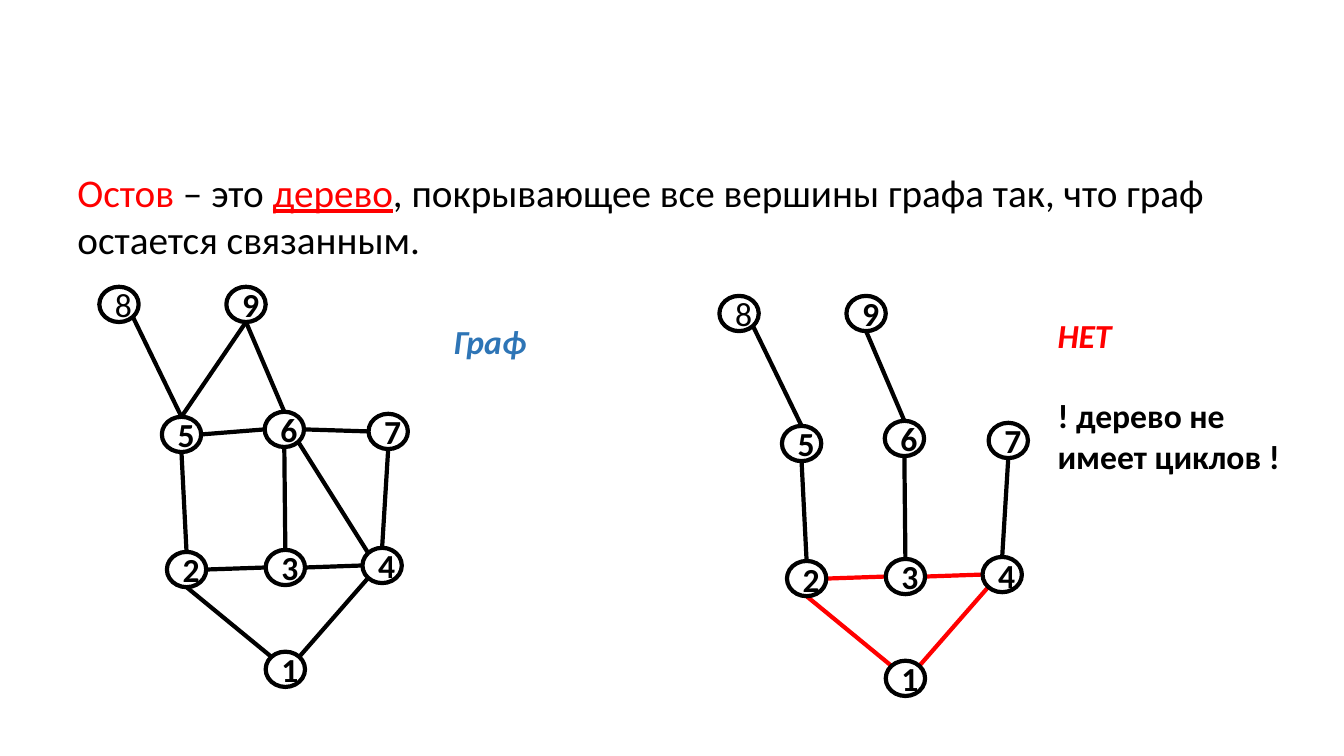
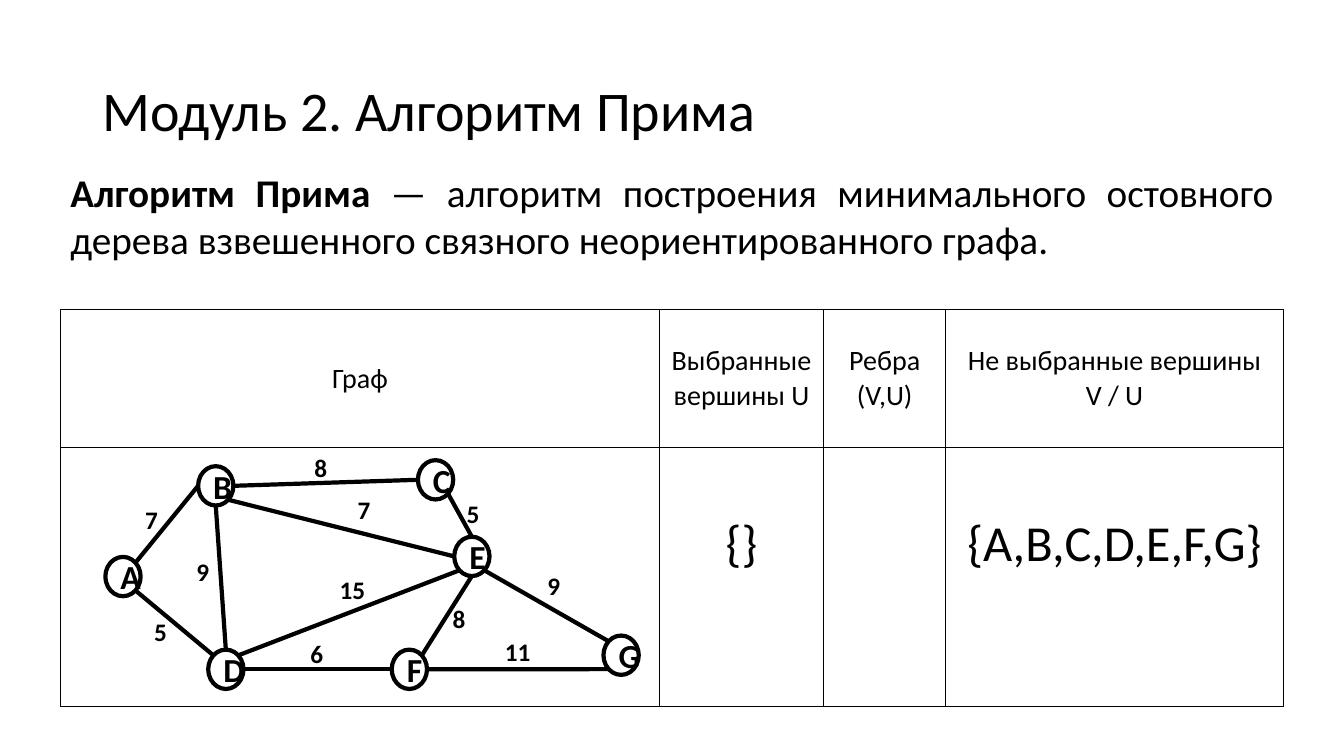
from lxml import etree
from pptx import Presentation
from pptx.dml.color import RGBColor
from pptx.enum import shapes, text
from pptx.oxml import ns
from pptx.util import Inches, Pt

FONT = "Calibri"
COLORS = {"ink": "000000", "paper": "FFFFFF", "accent": "FF0000", "label": "2E75B6"}
SLIDE_W, SLIDE_H = 13.33, 7.5
LINE_WIDTH = 3
TITLE_ONLY, BLANK = 5, 6

# Points on a vertex outline, as shares of its half width and half height
DIAGONAL = 0.71
SITES = {
    "n": (0, -1), "s": (0, 1), "w": (-1, 0), "e": (1, 0),
    "nw": (-DIAGONAL, -DIAGONAL), "ne": (DIAGONAL, -DIAGONAL),
    "sw": (-DIAGONAL, DIAGONAL), "se": (DIAGONAL, DIAGONAL),
}

# Vertex centres are measured from the top left corner of the graph's region
NUMBER_VERTICES = {
    "8": (0.2, 0.18), "9": (1.46, 0.18),
    "5": (0.82, 1.47), "6": (1.84, 1.42), "7": (2.87, 1.44),
    "2": (0.87, 2.81), "3": (1.85, 2.79), "4": (2.81, 2.77),
    "1": (1.85, 3.8),
}
NUMBER_EDGES = {
    "85": ("se", "n"), "95": ("s", "n"), "96": ("s", "n"),
    "76": ("w", "e"), "65": ("w", "e"),
    "52": ("s", "n"), "63": ("s", "n"), "74": ("s", "n"), "64": ("se", "nw"),
    "32": ("w", "e"), "43": ("w", "e"),
    "41": ("sw", "ne"), "21": ("s", "nw"),
}
REMOVED_EDGES = {"95", "76", "65", "64"}
CYCLE_EDGES = {"32", "43", "41", "21"}

LETTER_VERTICES = {
    "A": (0.62, 1.28), "B": (1.54, 0.38), "C": (3.72, 0.32), "D": (1.64, 2.2),
    "E": (4.08, 1.08), "F": (3.46, 2.2), "G": (5.56, 2.06),
}
LETTER_EDGES = {
    "AB": ("ne", "w"), "AD": ("se", "nw"), "BC": ("e", "w"), "BD": ("s", "n"),
    "BE": ("se", "w"), "CE": ("se", "n"), "DE": ("ne", "sw"), "DF": ("e", "w"),
    "EF": ("s", "ne"), "EG": ("se", "nw"), "FG": ("e", "sw"),
}
EDGE_WEIGHTS = {
    "AB": ("7", 0.74, 0.51), "AD": ("5", 0.83, 1.63), "BC": ("8", 2.42, 0),
    "BD": ("9", 1.25, 1.03), "BE": ("7", 2.85, 0.42), "CE": ("5", 3.93, 0.45),
    "DE": ("15", 2.67, 1.21), "DF": ("6", 2.38, 1.84), "EF": ("8", 3.79, 1.5),
    "EG": ("9", 4.73, 1.17), "FG": ("11", 4.31, 1.82),
}


def rgb(name):
    return RGBColor.from_string(COLORS[name])


def add_run(paragraph, words, size, color="ink", bold=False, italic=False, underline=False):
    run = paragraph.add_run()
    run.text = words
    font = run.font
    font.name, font.size, font.color.rgb = FONT, Pt(size), rgb(color)
    font.bold, font.italic, font.underline = bold, italic, underline


def add_text(slide, box, *paragraphs):
    """Each paragraph is a list of (words, size, font options) runs."""
    frame = slide.shapes.add_textbox(*map(Inches, box)).text_frame
    frame.word_wrap = True
    for index, runs in enumerate(paragraphs):
        paragraph = frame.add_paragraph() if index else frame.paragraphs[0]
        for words, size, options in runs:
            add_run(paragraph, words, size, **options)
    return frame


def add_vertex(slide, name, center, size, bold):
    (x, y), (width, height) = center, size
    vertex = slide.shapes.add_shape(
        shapes.MSO_SHAPE.OVAL, Inches(x - width / 2), Inches(y - height / 2),
        Inches(width), Inches(height))
    vertex.shadow.inherit = False
    vertex.fill.background()
    vertex.line.color.rgb = rgb("ink")
    vertex.line.width = Pt(LINE_WIDTH)
    paragraph = vertex.text_frame.paragraphs[0]
    paragraph.alignment = text.PP_ALIGN.CENTER
    add_run(paragraph, name, 24, bold=bold)


def add_edge(slide, start, end, color):
    edge = slide.shapes.add_connector(
        shapes.MSO_CONNECTOR.STRAIGHT, *map(Inches, (*start, *end)))
    edge.line.color.rgb = rgb(color)
    edge.line.width = Pt(LINE_WIDTH)
    etree.SubElement(edge._element.spPr, ns.qn("a:effectLst"))


def add_graph(slide, origin, vertices, edges, size, highlighted=(), plain=()):
    """Draw a graph whose vertices are placed relative to origin."""
    centers = {name: (origin[0] + x, origin[1] + y) for name, (x, y) in vertices.items()}

    def outline_point(name, site):
        return tuple(c + share * length / 2
                     for c, share, length in zip(centers[name], SITES[site], size))

    for pair, sites in edges.items():
        start, end = map(outline_point, pair, sites)
        add_edge(slide, start, end, "accent" if pair in highlighted else "ink")
    for name, center in centers.items():
        add_vertex(slide, name, center, size, bold=name not in plain)


def add_weights(slide, origin):
    for weight, x, y in EDGE_WEIGHTS.values():
        add_text(slide, (origin[0] + x, origin[1] + y, 0.53, 0.4),
                 [(weight, 18, {"bold": True})])


def add_title(slide, words):
    title = slide.shapes.title
    title.left, title.top, title.width, title.height = map(Inches, (0.92, 0.4, 11.5, 1.45))
    frame = title.text_frame
    frame.vertical_anchor = text.MSO_ANCHOR.MIDDLE
    paragraph = frame.paragraphs[0]
    paragraph.alignment = text.PP_ALIGN.LEFT
    paragraph.line_spacing = 0.9
    add_run(paragraph, words, 40)


def add_border(cell):
    """Outline the cell; the border goes ahead of the fill in its properties."""
    properties = cell._tc.get_or_add_tcPr()
    for index, side in enumerate(("lnL", "lnR", "lnT", "lnB")):
        line = etree.Element(ns.qn(f"a:{side}"), w=str(Pt(1)))
        fill = etree.SubElement(line, ns.qn("a:solidFill"))
        etree.SubElement(fill, ns.qn("a:srgbClr"), val=COLORS["ink"])
        properties.insert(index, line)


def add_steps_table(slide, box, column_widths, row_heights, rows):
    table = slide.shapes.add_table(
        len(rows), len(column_widths), *map(Inches, box)).table
    table.first_row = table.horz_banding = False
    for column, width in zip(table.columns, column_widths):
        column.width = Inches(width)
    for row, height in zip(table.rows, row_heights):
        row.height = Inches(height)
    for r, row in enumerate(rows):
        for c, lines in enumerate(row):
            cell = table.cell(r, c)
            cell.fill.solid()
            cell.fill.fore_color.rgb = rgb("paper")
            add_border(cell)
            if r == 0:
                cell.vertical_anchor = text.MSO_ANCHOR.MIDDLE
            else:
                cell.margin_top = Inches(0.65)
            for index, words in enumerate(lines):
                frame = cell.text_frame
                paragraph = frame.add_paragraph() if index else frame.paragraphs[0]
                paragraph.alignment = text.PP_ALIGN.CENTER
                add_run(paragraph, words, 36 if r else 20)


def build_spanning_tree_slide(prs):
    slide = prs.slides.add_slide(prs.slide_layouts[BLANK])
    add_text(slide, (0.67, 1.62, 11.73, 1.04), [
        ("Остов", 28, {"color": "accent"}),
        (" – это ", 28, {}),
        ("дерево", 28, {"color": "accent", "underline": True}),
        (", покрывающее все вершины графа так, что граф остается связанным.", 28, {}),
    ])
    size = (0.39, 0.35)
    add_graph(slide, (0.98, 2.84), NUMBER_VERTICES, NUMBER_EDGES, size, plain="8")
    kept = {pair: sites for pair, sites in NUMBER_EDGES.items() if pair not in REMOVED_EDGES}
    add_graph(slide, (7.13, 2.93), NUMBER_VERTICES, kept, size, CYCLE_EDGES, plain="8")
    add_text(slide, (4.4, 3.13, 2.14, 0.5),
             [("Граф", 24, {"color": "label", "bold": True, "italic": True})])
    verdict = add_text(
        slide, (10.39, 3.07, 2.59, 1.72),
        [("НЕТ", 24, {"color": "accent", "bold": True, "italic": True})],
        [("! дерево не имеет циклов !", 24, {"bold": True})])
    verdict.paragraphs[1].space_before = Pt(29)


def build_prim_slide(prs):
    slide = prs.slides.add_slide(prs.slide_layouts[TITLE_ONLY])
    add_title(slide, "Модуль 2. Алгоритм Прима")
    left, width = 0.6, 12.13
    definition = add_text(slide, (left, 1.62, width, 1.04), [
        ("Алгоритм Прима", 28, {"bold": True}),
        (" — алгоритм построения минимального остовного дерева "
         "взвешенного связного неориентированного графа.", 28, {}),
    ])
    definition.paragraphs[0].alignment = text.PP_ALIGN.JUSTIFY
    top, row_heights = 3.07, (1.37, 2.57)
    add_steps_table(
        slide, (left, top, width, sum(row_heights)), (5.94, 1.63, 1.21, 3.35), row_heights,
        [[["Граф"], ["Выбранные вершины U"], ["Ребра", "(V,U)"],
          ["Не выбранные вершины", "V / U"]],
         [[], ["{}"], [], ["{A,B,C,D,E,F,G}"]]])
    graph_cell = (left, top + row_heights[0])
    add_graph(slide, graph_cell, LETTER_VERTICES, LETTER_EDGES, (0.35, 0.39))
    add_weights(slide, graph_cell)


def main():
    prs = Presentation()
    prs.slide_width, prs.slide_height = Inches(SLIDE_W), Inches(SLIDE_H)
    build_spanning_tree_slide(prs)
    build_prim_slide(prs)
    prs.save("out.pptx")


if __name__ == "__main__":
    main()
